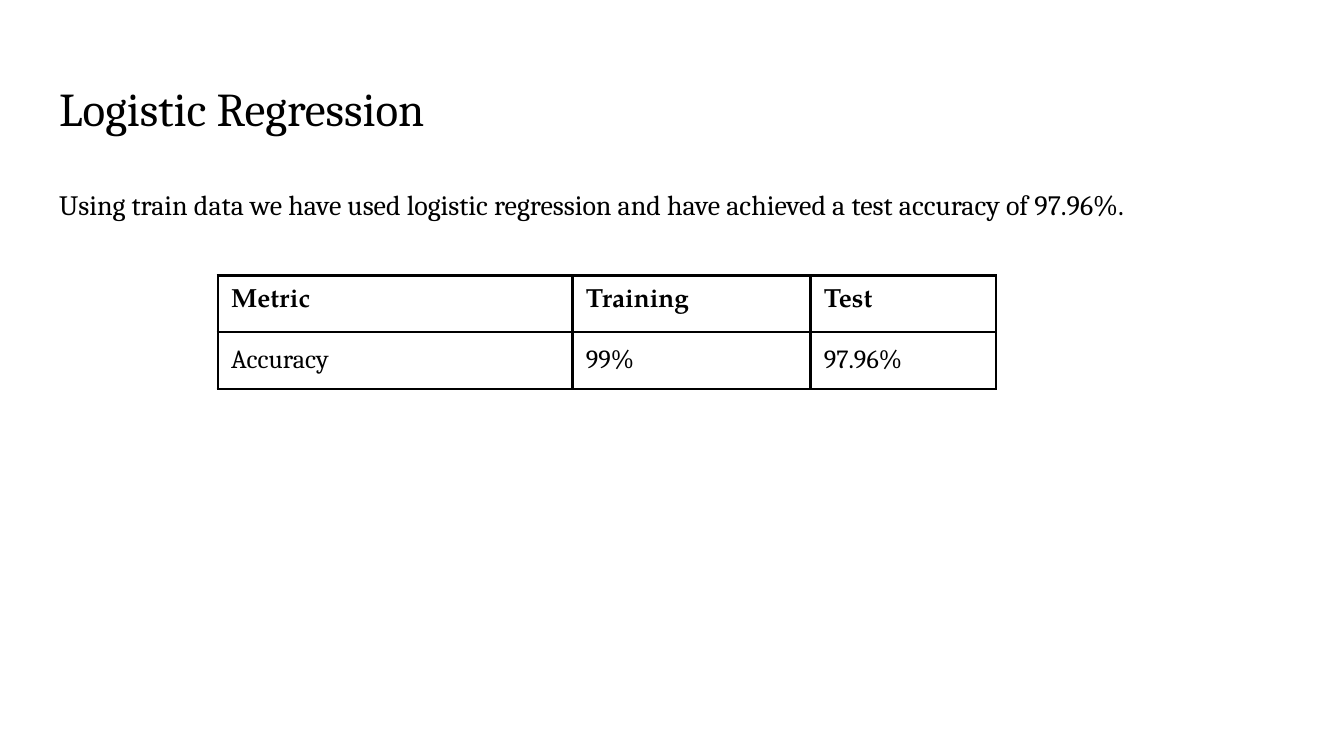
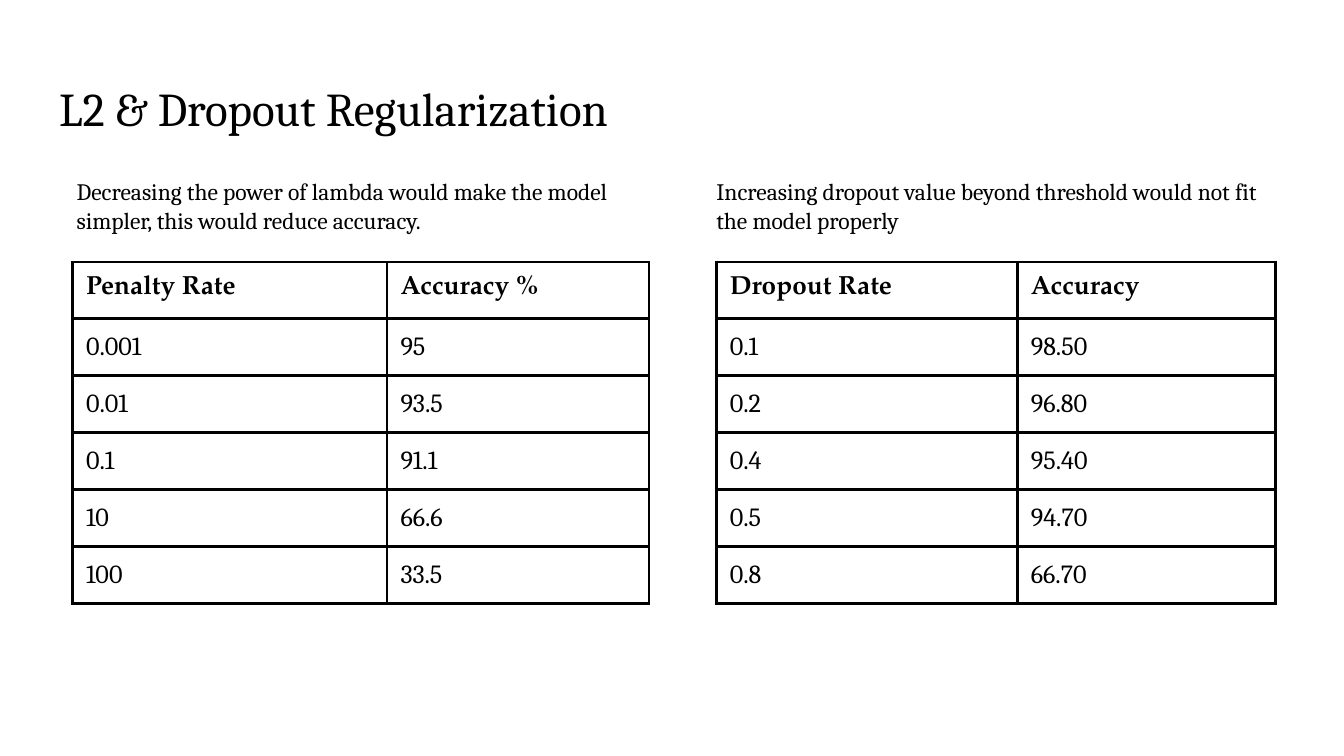
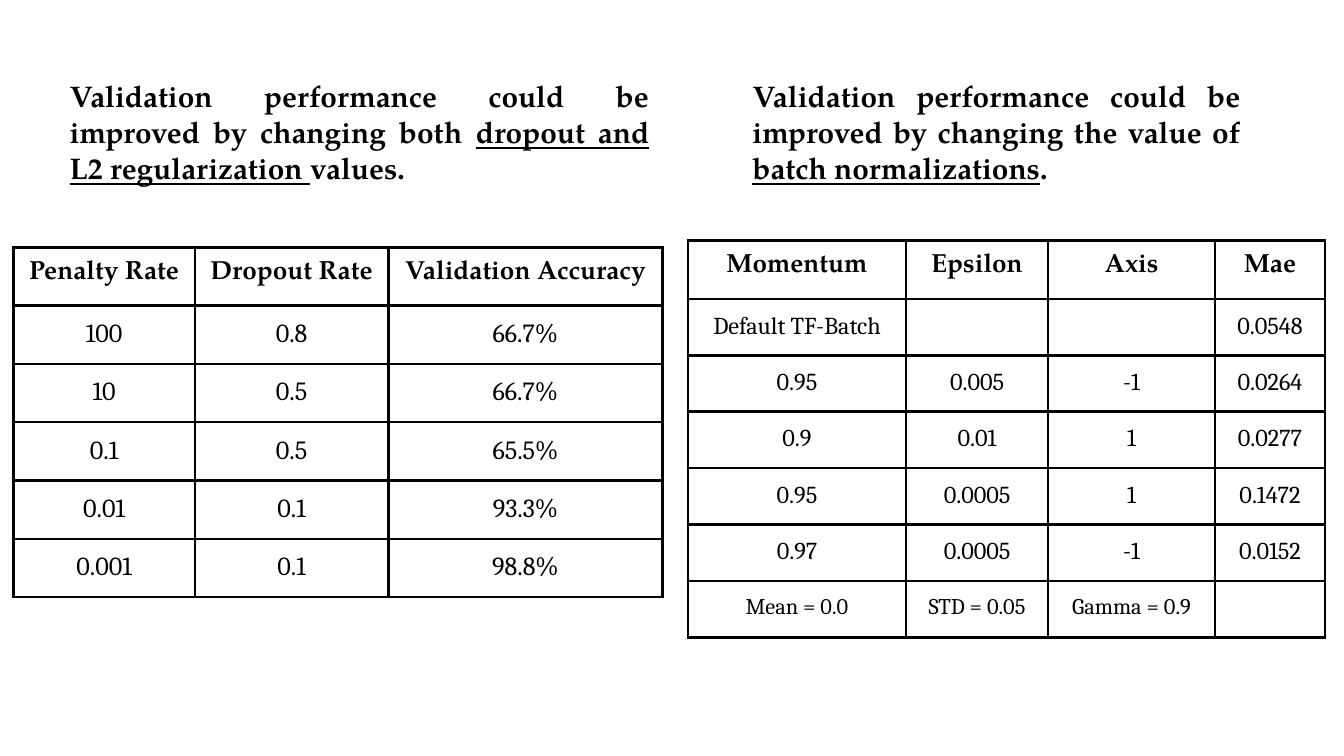
from lxml import etree
from pptx import Presentation
from pptx.dml.color import RGBColor
from pptx.enum.text import MSO_ANCHOR, MSO_AUTO_SIZE, PP_ALIGN
from pptx.oxml.ns import qn
from pptx.util import Inches, Pt

LEFT, MID, JUST = PP_ALIGN.LEFT, PP_ALIGN.CENTER, PP_ALIGN.JUSTIFY
TOP = MSO_ANCHOR.TOP
FIXED, GROW = MSO_AUTO_SIZE.NONE, MSO_AUTO_SIZE.SHAPE_TO_FIT_TEXT
SERIF, STRONG = "Cambria", "TeX Gyre Pagella"
INK, PAPER = "000000", "FFFFFF"
WIDE = Inches(10)
PAD = Inches(0.1)
LINE = Pt(1.5)
SIDES = "a:lnL", "a:lnR", "a:lnT", "a:lnB"
PAIR, SOLO, BLANK = 3, 1, 6


def tint(code):
    return RGBColor.from_string(code)


def write(frame, text, size=14, font=SERIF, bold=False, align=LEFT, after=0, lead=1.0):
    para = frame.paragraphs[0]
    para.alignment = align
    para.space_before, para.space_after = Pt(0), Pt(after)
    para.line_spacing = lead
    if not text:
        etree.SubElement(para._p, qn("a:endParaRPr"), sz=str(size * 100))
        return
    parts = [text] if isinstance(text, str) else text
    for spot, part in enumerate(parts):
        run = para.add_run()
        run.text = part
        run.font.size, run.font.name = Pt(size), font
        run.font.bold, run.font.underline = bold, spot % 2 == 1
        run.font.color.rgb = tint(INK)


def fit(shape, box, grow=FIXED):
    shape.left, shape.top, shape.width, shape.height = map(Inches, box)
    frame = shape.text_frame
    frame.word_wrap, frame.auto_size = True, grow
    frame.vertical_anchor = TOP
    frame.margin_left = frame.margin_right = PAD
    frame.margin_top = frame.margin_bottom = PAD
    return frame


def head(slide, text):
    write(fit(slide.shapes.title, (0.34, 0.49, 9.32, 0.63)), text, size=25.2)


def body(slide, slot, box, text, **style):
    frame = fit(slide.placeholders[slot], box)
    write(frame, text, **style)
    props = frame.paragraphs[0]._p.get_or_add_pPr()
    props.set("marL", "0")
    props.set("indent", "0")
    etree.SubElement(props, qn("a:buNone"))


def claim(slide, box, parts):
    shape = slide.shapes.add_textbox(*map(Inches, box))
    write(fit(shape, box, GROW), parts, size=16, font=STRONG, bold=True, align=JUST)


def edge(cell):
    props = cell._tc.get_or_add_tcPr()
    for side in SIDES:
        line = etree.SubElement(props, qn(side), w=str(LINE))
        fill = etree.SubElement(line, qn("a:solidFill"))
        etree.SubElement(fill, qn("a:srgbClr"), val=INK)


def grid(slide, left, top, cols, rows, high=0.42, align=LEFT, size=14, last=None):
    box = left, top, sum(cols), high * len(rows)
    shape = slide.shapes.add_table(len(rows), len(cols), *map(Inches, box))
    table = shape.table
    table.first_row = table.horz_banding = False
    for col, wide in zip(table.columns, cols):
        col.width = Inches(wide)
    for num, row in enumerate(rows):
        table.rows[num].height = Inches(high)
        style = {"size": size}
        if num == 0:
            style = {"font": STRONG, "bold": True}
        elif last and num == len(rows) - 1:
            style = {"size": last}
        for cell, text in zip(table.rows[num].cells, row):
            edge(cell)
            cell.fill.solid()
            cell.fill.fore_color.rgb = tint(PAPER)
            cell.margin_left = cell.margin_right = PAD
            cell.margin_top = cell.margin_bottom = PAD
            write(cell.text_frame, text, align=align, **style)


def logit(slide):
    head(slide, "Logistic Regression")
    body(slide, 1, (0.34, 1.26, 9.32, 3.74),
         "Using train data we have used logistic regression and have achieved "
         "a test accuracy of 97.96%.", size=15, after=12, lead=1.15)
    grid(slide, 1.62, 2.05, (2.64, 1.77, 1.38),
         [("Metric", "Training", "Test"), ("Accuracy", "99%", "97.96%")])


def rates(slide):
    head(slide, "L2 & Dropout Regularization")
    body(slide, 1, (0.47, 1.22, 4.36, 0.63),
         "Decreasing the power of lambda would make the model simpler, "
         "this would reduce accuracy.", size=12.6)
    body(slide, 2, (5.23, 1.22, 4.36, 0.63),
         "Increasing dropout value beyond threshold would not fit "
         "the model properly", size=12.6)
    grid(slide, 5.33, 1.95, (2.24, 1.92),
         [("Dropout Rate", "Accuracy"), ("0.1", "98.50"), ("0.2", "96.80"),
          ("0.4", "95.40"), ("0.5", "94.70"), ("0.8", "66.70")])
    grid(slide, 0.54, 1.95, (2.34, 1.95),
         [("Penalty Rate", "Accuracy %"), ("0.001", "95"), ("0.01", "93.5"),
          ("0.1", "91.1"), ("10", "66.6"), ("100", "33.5")])


def tuning(slide):
    claim(slide, (0.42, 0.48, 4.51, 1.01),
          ("Validation performance could be improved by changing both ",
           "dropout and L2 regularization ", "values."))
    grid(slide, 0.1, 1.84, (1.35, 1.44, 2.04),
         [("Penalty Rate", "Dropout Rate", "Validation Accuracy"),
          ("100", "0.8", "66.7%"), ("10", "0.5", "66.7%"),
          ("0.1", "0.5", "65.5%"), ("0.01", "0.1", "93.3%"),
          ("0.001", "0.1", "98.8%")], high=0.43, align=MID)
    grid(slide, 5.12, 1.79, (1.62, 1.06, 1.24, 0.82),
         [("Momentum", "Epsilon", "Axis", "Mae"),
          ("Default TF-Batch", "", "", "0.0548"),
          ("0.95", "0.005", "-1", "0.0264"), ("0.9", "0.01", "1", "0.0277"),
          ("0.95", "0.0005", "1", "0.1472"), ("0.97", "0.0005", "-1", "0.0152"),
          ("Mean = 0.0", "STD = 0.05", "Gamma = 0.9", "")],
         align=MID, size=13, last=12)
    claim(slide, (5.5, 0.48, 3.83, 1.01),
          ("Validation performance could be improved by changing the value of ",
           "batch normalizations", ". "))


def main():
    deck = Presentation()
    deck.slide_width, deck.slide_height = WIDE, WIDE * 9 // 16
    for build, kind in ((logit, SOLO), (rates, PAIR), (tuning, BLANK)):
        build(deck.slides.add_slide(deck.slide_layouts[kind]))
    deck.save("out.pptx")


if __name__ == "__main__":
    main()
